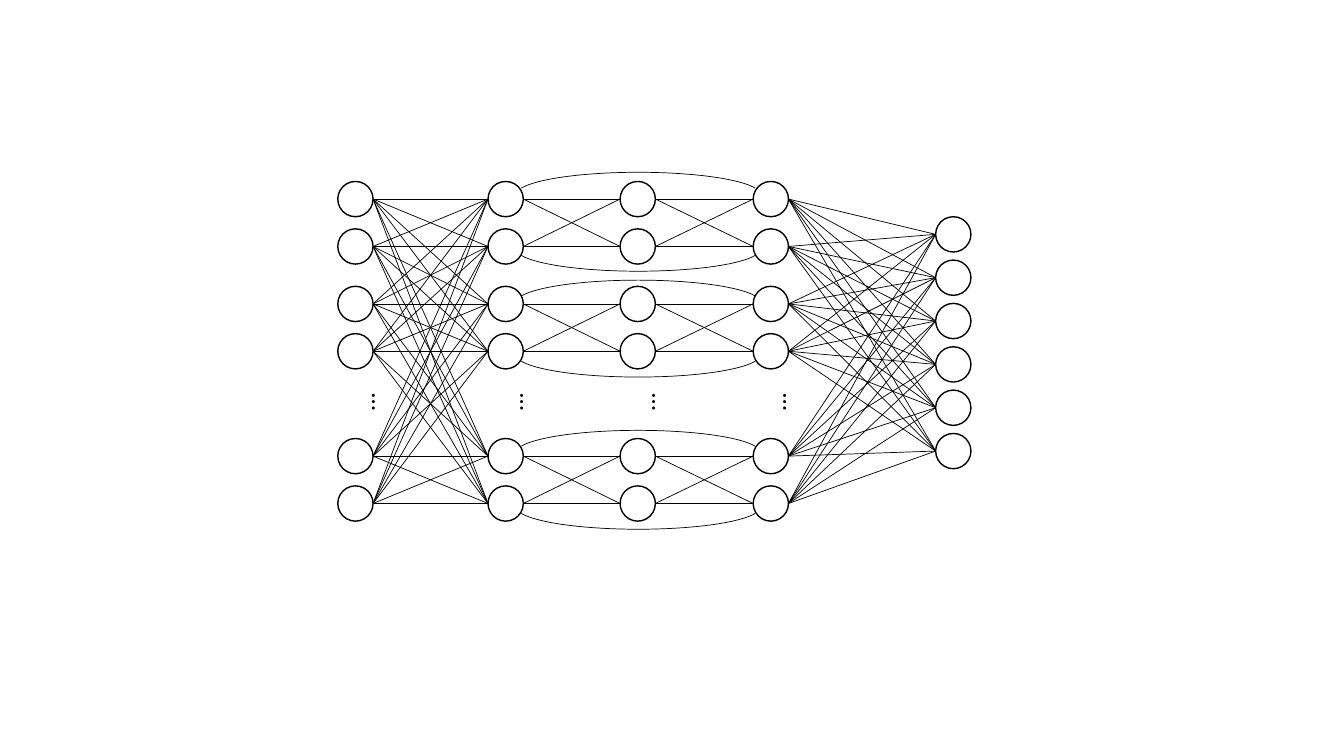
from itertools import product

from lxml import etree
from pptx import Presentation
from pptx.dml.color import RGBColor
from pptx.enum.shapes import MSO_CONNECTOR, MSO_SHAPE
from pptx.enum.text import MSO_AUTO_SIZE
from pptx.oxml.ns import qn
from pptx.util import Inches, Pt

OVAL = MSO_SHAPE.OVAL
ARC = MSO_SHAPE.ARC
STRAIGHT = MSO_CONNECTOR.STRAIGHT
FIT = MSO_AUTO_SIZE.SHAPE_TO_FIT_TEXT


def color(code):
    return RGBColor.from_string(code)


class Net:
    """Draws the parts of a neural network diagram on one slide."""

    ink, paper, font = "000000", "FFFFFF", "Calibri"
    thin, bold, size = 0.5, 1, 0.35

    def __init__(self, slide):
        self.shapes = slide.shapes.add_group_shape().shapes

    def stroke(self, item, width):
        item.line.color.rgb = color(self.ink)
        item.line.width = Pt(width)

    def node(self, left, top):
        item = self.shapes.add_shape(
            OVAL, Inches(left), Inches(top), Inches(self.size), Inches(self.size))
        item.shadow.inherit = False
        item.fill.solid()
        item.fill.fore_color.rgb = color(self.paper)
        self.stroke(item, self.bold)

    def layer(self, left, tops):
        for top in tops:
            self.node(left, top)

    def link(self, left, right, tops, ends):
        half = self.size / 2
        for top, end in product(tops, ends):
            item = self.shapes.add_connector(
                STRAIGHT, Inches(left + self.size), Inches(top + half),
                Inches(right), Inches(end + half))
            self.stroke(item, self.thin)
            etree.SubElement(item._element.spPr, qn("a:effectLst"))

    def arc(self, left, top, turn):
        item = self.shapes.add_shape(
            ARC, Inches(left), Inches(top), Inches(2.42), Inches(0.44))
        item.adjustments[0] = 109.87
        item.adjustments[1] = 214.13
        item.rotation = turn
        item.shadow.inherit = False
        item.fill.background()
        self.stroke(item, self.thin)

    def dots(self, left, top):
        box = self.shapes.add_textbox(
            Inches(left), Inches(top), Inches(0.64), Inches(0.45))
        frame = box.text_frame
        frame.text = "…"
        frame.word_wrap = False
        frame.auto_size = FIT
        frame._txBody.bodyPr.set("vert", "vert")
        font = frame.paragraphs[0].runs[0].font
        font.name = self.font
        font.size = Pt(18)
        font.color.rgb = color(self.ink)


def main():
    deck = Presentation()
    deck.slide_width, deck.slide_height = Inches(13.33), Inches(7.5)
    net = Net(deck.slides.add_slide(deck.slide_layouts[6]))

    cols = [3.35, 4.84, 6.15, 7.47]
    last = 9.28
    pairs = [(top, top + 0.47) for top in (1.8, 2.84, 4.35)]
    rows = [top for pair in pairs for top in pair]
    outs = [2.15 + 0.43 * i for i in range(6)]

    for left in cols:
        net.layer(left, rows)
    net.layer(last, outs)

    net.link(cols[0], cols[1], rows, rows)
    for left, right in zip(cols[1:], cols[2:]):
        for pair in pairs:
            net.link(left, right, pair, pair)
    net.link(cols[3], last, rows, outs)

    for high, low in [(1.71, 2.25), (2.78, 3.3), (4.27, 4.81)]:
        net.arc(5.12, high, 0)
        net.arc(5.12, low, 180)

    for left in (3.35, 4.82, 6.13, 7.43):
        net.dots(left, 3.81)

    deck.save("out.pptx")


if __name__ == "__main__":
    main()
